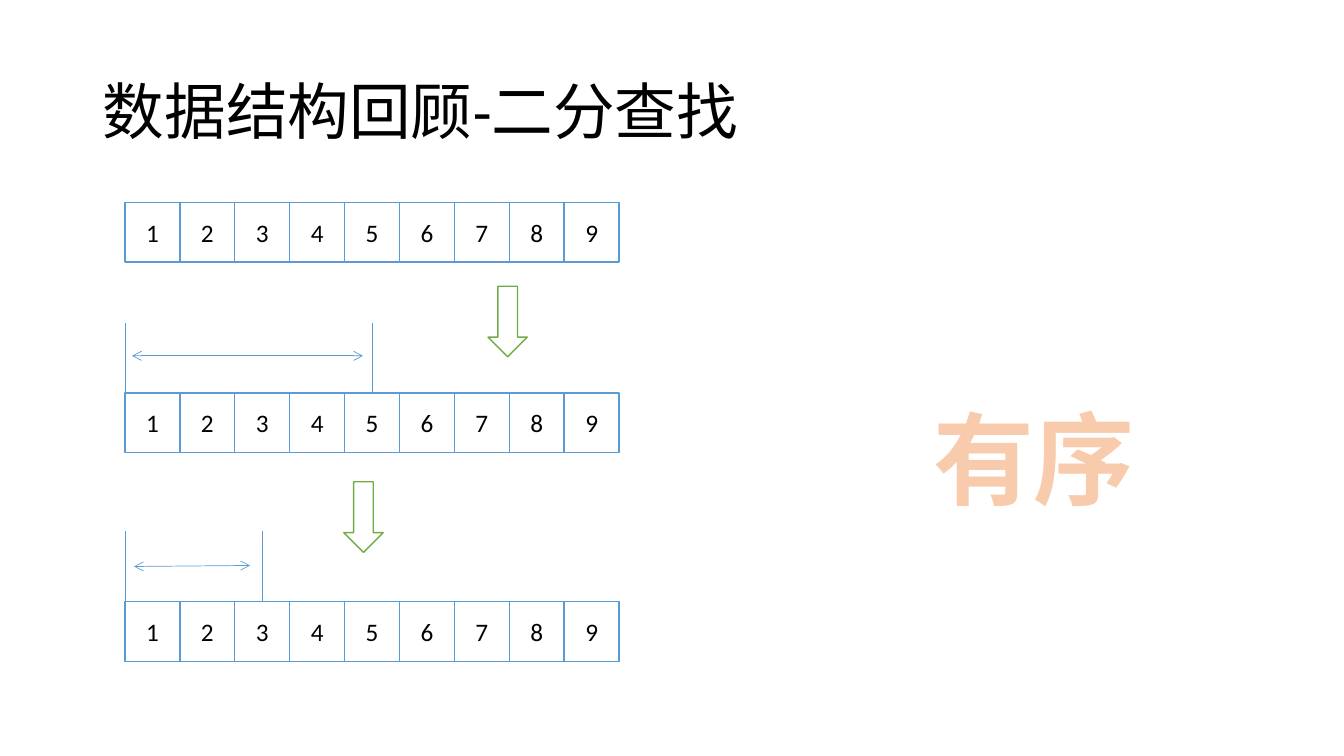
import dataclasses

import lxml.etree
import pptx
import pptx.dml.color
import pptx.enum.shapes
import pptx.enum.text
import pptx.oxml.ns
import pptx.util

SHAPE = pptx.enum.shapes.MSO_SHAPE
ALIGN = pptx.enum.text.PP_ALIGN
ANCHOR = pptx.enum.text.MSO_ANCHOR
FIT = pptx.enum.text.MSO_AUTO_SIZE


@dataclasses.dataclass(frozen=True)
class Theme:
    font: str = "Calibri"
    text: str = "000000"
    paper: str = "FFFFFF"
    blue: str = "5B9BD5"
    green: str = "70AD47"
    peach: str = "F8CBAD"
    orange: str = "ED7D31"
    title_size: int = 44
    cell_size: int = 18
    word_size: int = 72
    box_line: float = 1
    bracket_line: float = 0.5
    word_outline: float = 1.75


THEME = Theme()

# Grid of the number rows, in inches
CELLS = 9
GRID_LEFT = 1.24
COLUMN = 4.9 / CELLS
CELL_HEIGHT = 0.59
BRACKET_HEIGHT = 0.7
ROW_TOPS = (2.01, 3.9, 5.97)


def inches(*lengths):
    return [pptx.util.Inches(length) for length in lengths]


def column_left(index):
    return GRID_LEFT + index * COLUMN


def color(code):
    return pptx.dml.color.RGBColor.from_string(code)


def add_xml(parent, tag, **attributes):
    return lxml.etree.SubElement(parent, pptx.oxml.ns.qn(tag), attributes)


def write(frame, text, size, ink=THEME.text, bold=False, align=ALIGN.CENTER,
          anchor=ANCHOR.MIDDLE, spacing=None):
    frame.vertical_anchor = anchor
    para = frame.paragraphs[0]
    para.alignment = align
    para.line_spacing = spacing
    span = para.add_run()
    span.text = text
    span.font.name = THEME.font
    span.font.size = pptx.util.Pt(size)
    span.font.bold = bold
    span.font.color.rgb = color(ink)
    return span


def add_box(parent, kind, at, line):
    box = parent.add_shape(kind, *inches(*at))
    box.shadow.inherit = False
    box.fill.solid()
    box.fill.fore_color.rgb = color(THEME.paper)
    box.line.color.rgb = color(line)
    box.line.width = pptx.util.Pt(THEME.box_line)
    return box


def add_line(parent, start, end, arrows=False):
    line = parent.add_connector(pptx.enum.shapes.MSO_CONNECTOR.STRAIGHT,
                                *inches(*start, *end))
    line.line.color.rgb = color(THEME.blue)
    line.line.width = pptx.util.Pt(THEME.bracket_line)
    if arrows:
        outline = line.line._get_or_add_ln()
        add_xml(outline, "a:headEnd", type="arrow")
        add_xml(outline, "a:tailEnd", type="arrow")
    add_xml(line._element.spPr, "a:effectLst")
    return line


def add_cells(parent, top):
    cells = []
    for index in range(CELLS):
        at = (column_left(index), top, COLUMN, CELL_HEIGHT)
        cell = add_box(parent, SHAPE.RECTANGLE, at, THEME.blue)
        write(cell.text_frame, str(index + 1), THEME.cell_size)
        cells.append(cell)
    return cells


def add_bracket(parent, cells, top, last, arrow_start, arrow_end):
    """Mark the search range from the first cell to the middle of the last."""
    peak = top - BRACKET_HEIGHT
    middle = column_left(last - 0.5)
    left = add_line(parent, (GRID_LEFT, top + CELL_HEIGHT / 2),
                    (GRID_LEFT, peak))
    left.begin_connect(cells[0], 1)
    right = add_line(parent, (middle, top), (middle, peak))
    right.begin_connect(cells[last - 1], 0)
    add_line(parent, arrow_start, arrow_end, arrows=True)


def add_title(page, text):
    title = page.shapes.title
    title.left, title.top, title.width, title.height = inches(
        0.92, 0.41, 11.5, 1.45)
    title.text_frame.auto_size = FIT.NONE
    write(title.text_frame, text, THEME.title_size, align=ALIGN.LEFT,
          spacing=0.9)


def add_outlined_word(page, text):
    box = page.shapes.add_textbox(*inches(8.67, 3.89, 3.17, 1.31))
    box.text_frame.word_wrap = True
    box.text_frame.auto_size = FIT.SHAPE_TO_FIT_TEXT
    span = write(box.text_frame, text, THEME.word_size, ink=THEME.peach,
                 bold=True, anchor=ANCHOR.TOP)
    properties = span.font._element
    outline = add_xml(properties, "a:ln",
                      w=str(pptx.util.Pt(THEME.word_outline)))
    add_xml(add_xml(outline, "a:solidFill"), "a:srgbClr", val=THEME.orange)
    properties.insert(0, outline)


def main():
    deck = pptx.Presentation()
    deck.slide_width, deck.slide_height = inches(13.33, 7.5)
    page = deck.slides.add_slide(deck.slide_layouts.get_by_name("Title Only"))
    add_title(page, "数据结构回顾-二分查找")

    # Full array
    first_top, second_top, third_top = ROW_TOPS
    add_cells(page.shapes, first_top)

    # First halving
    second = page.shapes.add_group_shape().shapes
    cells = add_cells(second, second_top)
    add_bracket(page.shapes, cells, second_top, 5, (1.31, 3.53), (3.6, 3.53))
    add_box(page.shapes, SHAPE.DOWN_ARROW, (4.84, 2.84, 0.39, 0.7),
            THEME.green)

    # Second halving
    third = page.shapes.add_group_shape().shapes
    cells = add_cells(third, third_top)
    add_bracket(third, cells, third_top, 3, (1.33, 5.62), (2.48, 5.61))
    add_box(page.shapes, SHAPE.DOWN_ARROW, (3.41, 4.78, 0.39, 0.7),
            THEME.green)

    # Precondition
    add_outlined_word(page, "有序")
    deck.save("out.pptx")


if __name__ == "__main__":
    main()
